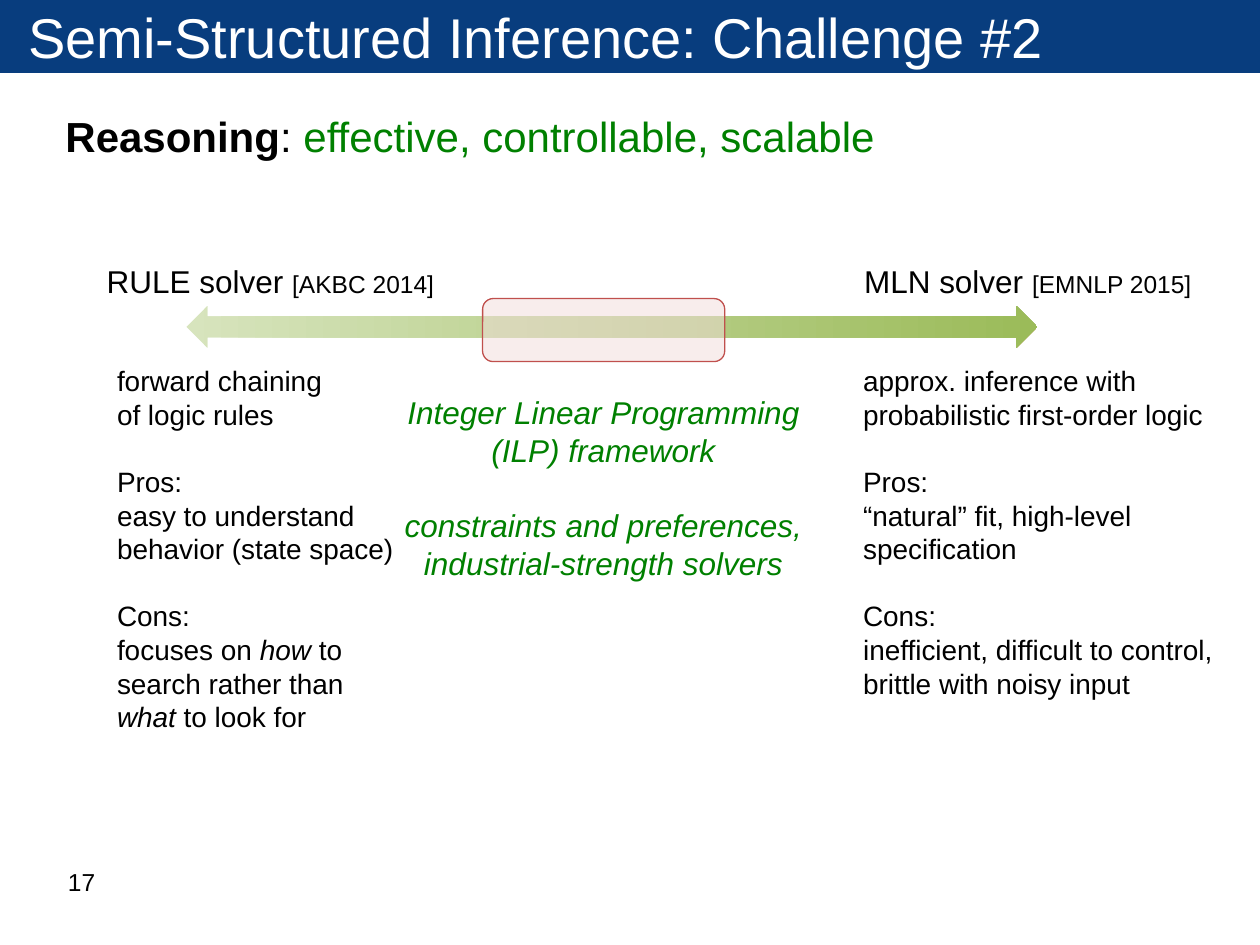
"""Build the slide on reasoning challenges in semi-structured inference."""
from lxml.etree import SubElement
from pptx import Presentation
from pptx.dml.color import RGBColor
from pptx.enum.shapes import MSO_SHAPE as Shape
from pptx.enum.text import MSO_ANCHOR as Anchor, PP_ALIGN as Align
from pptx.oxml.ns import qn
from pptx.util import Cm, Pt

WHITE = RGBColor(0xFF, 0xFF, 0xFF)
BLACK = RGBColor(0x00, 0x00, 0x00)
NAVY = RGBColor(0x08, 0x3D, 0x7E)
GREEN = RGBColor(0x00, 0x80, 0x00)
LEAF = RGBColor(0x9B, 0xBB, 0x59)
PALE_LEAF = RGBColor(0xD7, 0xE4, 0xBD)
PINK = RGBColor(0xF2, 0xDC, 0xDB)
RED = RGBColor(0xC0, 0x50, 0x4D)
GAP = None
LINE_HEIGHT = 1.2

RULE_NOTES = [
    "forward chaining\nof logic rules", GAP,
    "Pros:\neasy to understand\nbehavior (state space)", GAP,
    "Cons:",
    ["focuses on ", ("how", {"italic": True}), " to\nsearch rather than"],
    [("what", {"italic": True}), " to look for"],
]
MLN_NOTES = [
    "approx. inference with\nprobabilistic first-order logic", GAP,
    "Pros:", "“natural” fit, high-level\nspecification", GAP,
    "Cons:", "inefficient, difficult to control,\nbrittle with noisy input",
]
ILP_NOTES = [
    "Integer Linear Programming\n(ILP) framework", GAP,
    "constraints and preferences,\nindustrial-strength solvers",
]


def add_run(p, text, size, color, bold=False, italic=False):
    for i, line in enumerate(text.split("\n")):
        if i:
            p.add_line_break()
        if not line:
            continue
        r = p.add_run()
        r.text = line
        font = r.font
        font.name, font.size, font.color.rgb = "Arial", Pt(size), color
        font.bold, font.italic = bold, italic


def write(tf, paragraphs, size=16, color=BLACK, align=Align.LEFT, italic=False):
    p, gap = None, False
    for content in paragraphs:
        if content is GAP:
            gap = True
            continue
        p = tf.add_paragraph() if p else tf.paragraphs[0]
        p.alignment = align
        if gap:
            p.space_before = Pt(size * LINE_HEIGHT)
            gap = False
        for part in [content] if isinstance(content, str) else content:
            text, changes = (part, {}) if isinstance(part, str) else part
            look = {"size": size, "color": color, "italic": italic, **changes}
            add_run(p, text, **look)


def add_text(s, x, y, w, h, paragraphs, wrap=True, **look):
    tf = s.shapes.add_textbox(Cm(x), Cm(y), Cm(w), Cm(h)).text_frame
    tf.word_wrap = wrap
    write(tf, paragraphs, **look)


def add_shape(s, kind, x, y, w, h):
    sp = s.shapes.add_shape(kind, Cm(x), Cm(y), Cm(w), Cm(h))
    sp.shadow.inherit = False
    sp.line.fill.background()
    return sp


def add_title(s, text):
    sp = add_shape(s, Shape.RECTANGLE, 0, 0, 25.4, 1.47)
    sp.fill.solid()
    sp.fill.fore_color.rgb = NAVY
    tf = sp.text_frame
    tf.margin_left = Cm(0.57)
    tf.vertical_anchor = Anchor.MIDDLE
    write(tf, [text], size=32, color=WHITE)


def add_spectrum(s):
    sp = add_shape(s, Shape.LEFT_RIGHT_ARROW, 3.76, 6.17, 17.15, 0.84)
    sp.fill.gradient()
    sp.fill.gradient_angle = 0
    for stop, color, position in zip(sp.fill.gradient_stops, (PALE_LEAF, LEAF), (0, 1)):
        stop.color.rgb = color
        stop.position = position


def add_highlight(s):
    sp = add_shape(s, Shape.ROUNDED_RECTANGLE, 9.73, 6.02, 4.88, 1.27)
    sp.fill.solid()
    sp.fill.fore_color.rgb = PINK
    color = sp.fill._xPr.find(qn("a:solidFill"))[0]
    SubElement(color, qn("a:alpha"), val="50000")
    sp.line.color.rgb = RED
    sp.line.width = Pt(0.75)


def add_solver(s, x, name, venue, notes, notes_x, notes_w):
    heading = [name + " solver ", (f"[{venue}]", {"size": 14})]
    add_text(s, x, 5.16, 7.16, 1.02, [heading], wrap=False, size=18)
    add_text(s, notes_x, 7.21, notes_w, 7.77, notes, wrap=False)


def main():
    prs = Presentation()
    prs.slide_width, prs.slide_height = Cm(25.4), Cm(19.05)
    s = prs.slides.add_slide(prs.slide_layouts[6])
    add_title(s, "Semi-Structured Inference: Challenge #2")
    goal = [("Reasoning", {"bold": True}), ": ",
            ("effective, controllable, scalable", {"color": GREEN})]
    add_text(s, 1.07, 2.11, 23.29, 2.34, [goal], size=24)
    add_spectrum(s)
    add_solver(s, 1.9, "RULE", "AKBC 2014", RULE_NOTES, 2.11, 6.17)
    add_solver(s, 17.17, "MLN", "EMNLP 2015", MLN_NOTES, 17.15, 7.65)
    add_text(s, 7.62, 7.8, 9.09, 4.11, ILP_NOTES,
             size=18, color=GREEN, align=Align.CENTER, italic=True)
    add_highlight(s)
    add_text(s, 1.12, 17.35, 5.92, 1.32, ["17"], size=14)
    prs.save("out.pptx")


if __name__ == "__main__":
    main()
